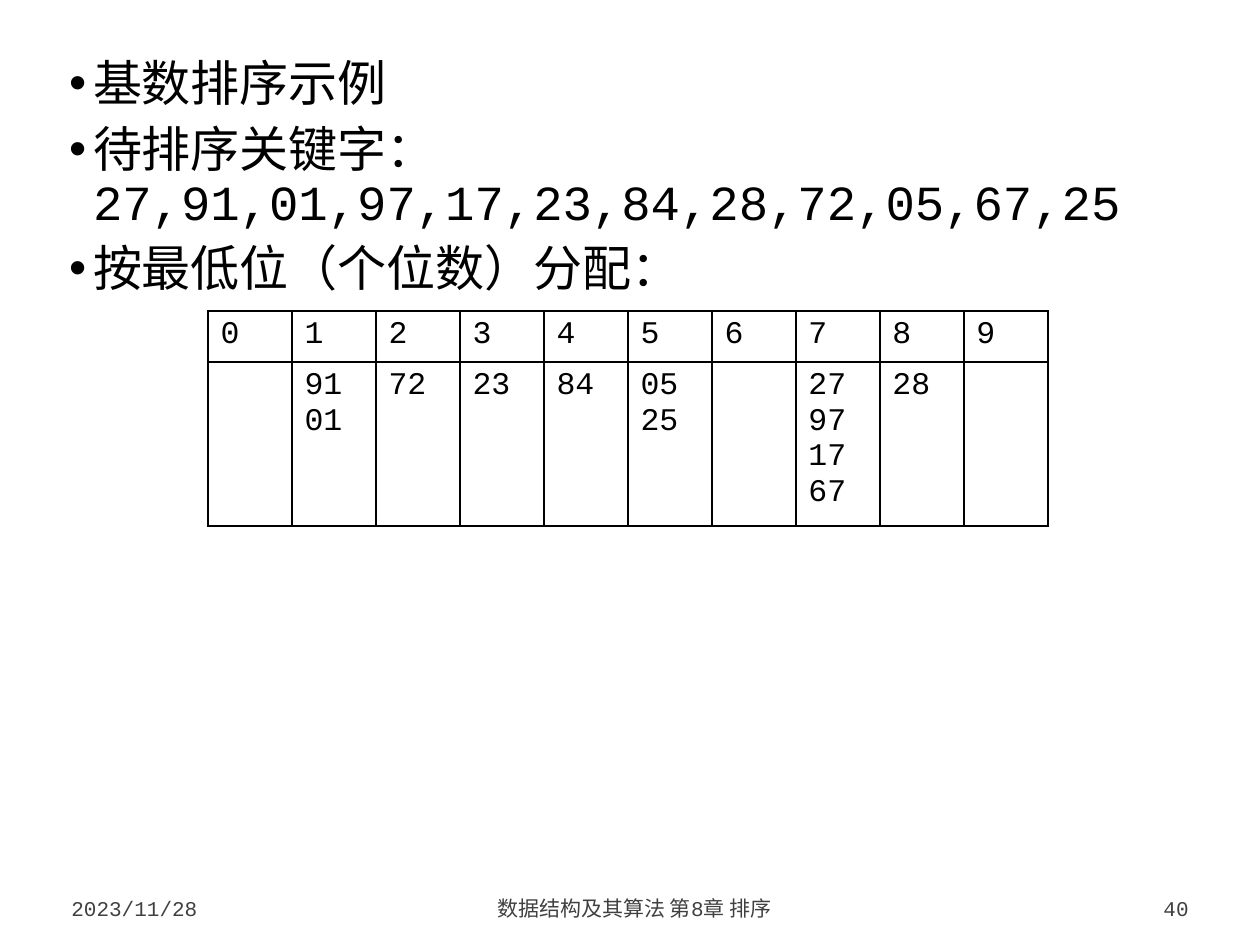
from lxml import etree
from pptx import Presentation
from pptx.dml.color import RGBColor
from pptx.enum.text import MSO_ANCHOR, MSO_AUTO_SIZE, PP_ALIGN
from pptx.oxml.ns import qn
from pptx.util import Emu, Pt

LEFT, CENTER, RIGHT = PP_ALIGN.LEFT, PP_ALIGN.CENTER, PP_ALIGN.RIGHT
BOTTOM = MSO_ANCHOR.BOTTOM
NO_AUTOFIT = MSO_AUTO_SIZE.NONE

EMU_PER_PX = 914400 / 126
FONT = "Courier New"
BLACK, GRAY = "000000", "404040"

BULLETS = [
    "基数排序示例",
    "待排序关键字：27,91,01,97,17,23,84,28,72,05,67,25",
    "按最低位（个位数）分配：",
]
BUCKETS = ["", "91\n01", "72", "23", "84", "05\n25", "", "27\n97\n17\n67", "28", ""]
COLUMN_WIDTH = 84
ROW_HEIGHTS = [51, 156]


def px(length):
    return Emu(round(length * EMU_PER_PX))


def color(hex_code):
    return RGBColor.from_string(hex_code)


def style_text(frame, size, hex_code):
    for paragraph in frame.paragraphs:
        for run in paragraph.runs:
            run.font.name = FONT
            run.font.size = Pt(size)
            run.font.color.rgb = color(hex_code)


def place(shape, left, top, width, height):
    shape.left, shape.top = px(left), px(top)
    shape.width, shape.height = px(width), px(height)


def add_bullet(paragraph, indent):
    properties = paragraph._p.get_or_add_pPr()
    properties.set("marL", str(px(indent)))
    properties.set("indent", str(px(-indent)))
    etree.SubElement(properties, qn("a:buFont"), typeface="Arial")
    etree.SubElement(properties, qn("a:buChar"), char="•")


def fill_body(body, lines):
    place(body, 59, 49, 1142, 809)
    frame = body.text_frame
    frame.word_wrap = True
    frame.auto_size = NO_AUTOFIT
    frame.margin_left = frame.margin_right = px(10)
    frame.margin_top = frame.margin_bottom = px(10)
    frame.text = "\n".join(lines)
    for number, paragraph in enumerate(frame.paragraphs):
        add_bullet(paragraph, 24)
        paragraph.line_spacing = 0.9
        paragraph.space_before = Pt(7.5 if number else 0)
    style_text(frame, 28, BLACK)


def add_footer(slide, text, left, width, alignment):
    box = slide.shapes.add_textbox(px(left), px(878), px(width), px(49))
    frame = box.text_frame
    frame.word_wrap = True
    frame.vertical_anchor = BOTTOM
    frame.text = text
    frame.paragraphs[0].alignment = alignment
    style_text(frame, 12, GRAY)


def add_borders(cell):
    properties = cell._tc.get_or_add_tcPr()
    for position, side in enumerate(("a:lnL", "a:lnR", "a:lnT", "a:lnB")):
        line = etree.Element(qn(side), w=str(Pt(1)))
        fill = etree.SubElement(line, qn("a:solidFill"))
        etree.SubElement(fill, qn("a:srgbClr"), val=BLACK)
        properties.insert(position, line)


def add_bucket_table(slide, buckets):
    rows = [[str(digit) for digit in range(len(buckets))], buckets]
    frame = slide.shapes.add_table(
        len(rows), len(buckets), px(208), px(311),
        px(COLUMN_WIDTH * len(buckets)), px(sum(ROW_HEIGHTS)))
    table = frame.table
    table.first_row = table.horz_banding = False
    for column in table.columns:
        column.width = px(COLUMN_WIDTH)
    for row, height, texts in zip(table.rows, ROW_HEIGHTS, rows):
        row.height = px(height)
        for cell, text in zip(row.cells, texts):
            cell.text = text
            cell.fill.background()
            style_text(cell.text_frame, 18, BLACK)
            add_borders(cell)


def main():
    deck = Presentation()
    deck.slide_width, deck.slide_height = px(1260), px(945)
    slide = deck.slides.add_slide(deck.slide_layouts[1])
    title = slide.shapes.title._element
    title.getparent().remove(title)

    fill_body(slide.placeholders[1], BULLETS)
    add_footer(slide, "2023/11/28", 59, 158, LEFT)
    add_footer(slide, "数据结构及其算法 第8章 排序", 232, 805, CENTER)
    add_footer(slide, "40", 1052, 149, RIGHT)
    add_bucket_table(slide, BUCKETS)
    deck.save("out.pptx")


if __name__ == "__main__":
    main()
